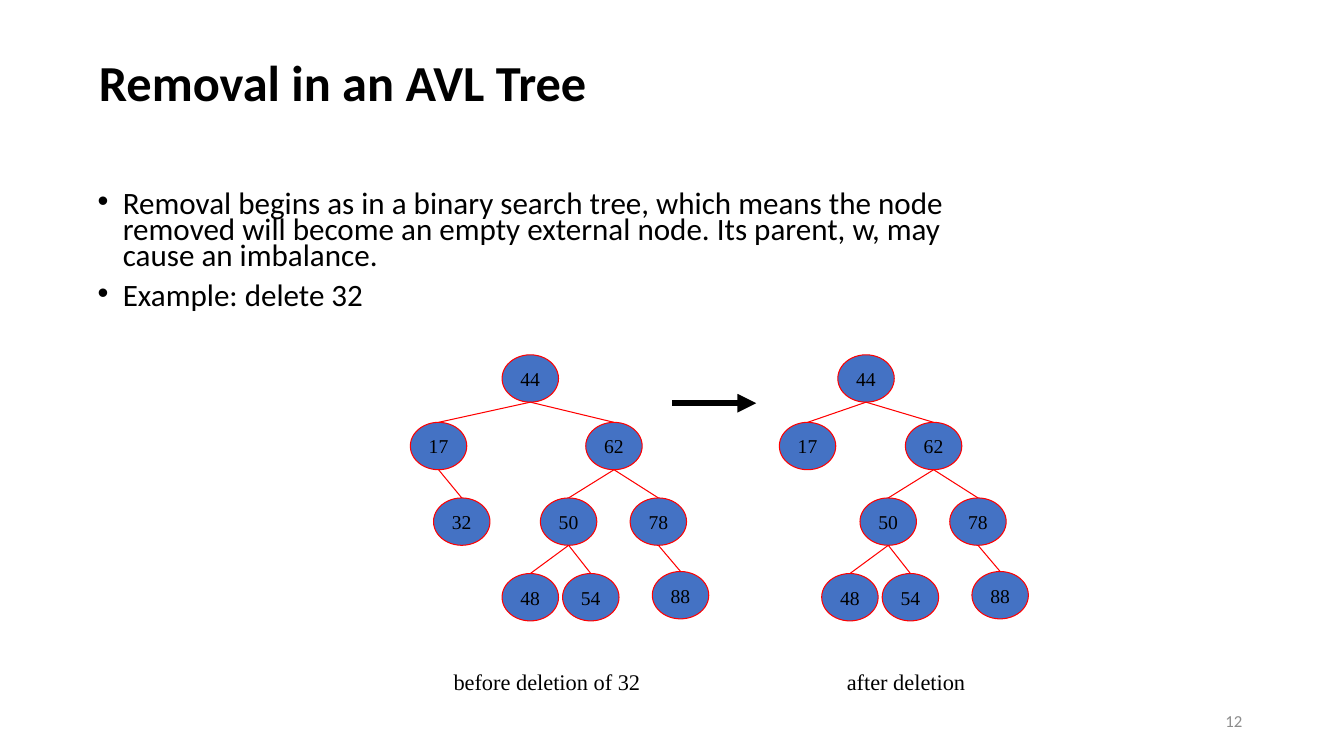
from dataclasses import dataclass, replace

from lxml.etree import SubElement
from pptx import Presentation
from pptx.dml.color import RGBColor
from pptx.enum.shapes import MSO_CONNECTOR, MSO_SHAPE
from pptx.enum.text import MSO_ANCHOR, MSO_AUTO_SIZE, PP_ALIGN
from pptx.oxml.ns import qn
from pptx.shapes.connector import Connector
from pptx.slide import Slide
from pptx.text.text import TextFrame, _Paragraph
from pptx.util import Inches, Pt

BLACK = RGBColor(0x00, 0x00, 0x00)
GRAY = RGBColor(0x8C, 0x8C, 0x8C)
NODE_BLUE = RGBColor(0x44, 0x72, 0xC4)
EDGE_RED = RGBColor(0xFF, 0x00, 0x00)
SANS = "Calibri"
SERIF = "Times New Roman"

NODE_WIDTH = 0.56
NODE_HEIGHT = 0.47
LEVEL_TOPS = (3.52, 4.19, 4.94, 5.69)
SUBTREE_SHIFT = 3.17


@dataclass(frozen=True)
class Node:
    key: int
    center: float
    top: float
    parent: int | None = None


@dataclass(frozen=True)
class Label:
    text: str
    left: float
    top: float
    width: float
    height: float
    size: float
    font: str = SERIF
    color: RGBColor = BLACK
    align: PP_ALIGN = PP_ALIGN.LEFT
    anchor: MSO_ANCHOR = MSO_ANCHOR.TOP
    wrap: bool = False


RIGHT_SUBTREE = [
    Node(62, 6.09, LEVEL_TOPS[1], 44),
    Node(50, 5.64, LEVEL_TOPS[2], 62),
    Node(78, 6.53, LEVEL_TOPS[2], 62),
    Node(48, 5.26, LEVEL_TOPS[3], 50),
    Node(54, 5.86, LEVEL_TOPS[3], 50),
    Node(88, 6.75, 5.67, 78),
]
TREE_BEFORE = [
    Node(44, 5.26, LEVEL_TOPS[0]),
    Node(17, 4.35, LEVEL_TOPS[1], 44),
    Node(32, 4.58, LEVEL_TOPS[2], 17),
    *RIGHT_SUBTREE,
]
TREE_AFTER = [
    Node(44, 8.59, LEVEL_TOPS[0]),
    Node(17, 8.01, LEVEL_TOPS[1], 44),
    *(replace(node, center=node.center + SUBTREE_SHIFT) for node in RIGHT_SUBTREE),
]
LABELS = [
    Label("before deletion of 32", 4.4, 6.58, 2.06, 0.37, 16),
    Label("after deletion", 8.3, 6.58, 1.39, 0.37, 16),
    Label("12", 9.42, 6.95, 3, 0.4, 12, SANS, GRAY, PP_ALIGN.RIGHT,
          MSO_ANCHOR.MIDDLE, True),
]
BULLETS = [
    "Removal begins as in a binary search tree, which means the node removed "
    "will become an empty external node. Its parent, w, may cause an imbalance.",
    "Example: delete 32",
]


def add_text(paragraph: _Paragraph, text: str, size: float, font: str,
             color: RGBColor = BLACK, bold: bool = False) -> None:
    run = paragraph.add_run()
    run.text = text
    run.font.size = Pt(size)
    run.font.name = font
    run.font.color.rgb = color
    run.font.bold = bold


def set_frame(frame: TextFrame, anchor: MSO_ANCHOR, wrap: bool) -> None:
    frame.auto_size = MSO_AUTO_SIZE.NONE
    frame.vertical_anchor = anchor
    frame.word_wrap = wrap


def add_line(slide: Slide, start: tuple[float, float], end: tuple[float, float],
             color: RGBColor, width: float) -> Connector:
    line = slide.shapes.add_connector(
        MSO_CONNECTOR.STRAIGHT, *map(Inches, start + end))
    line.line.color.rgb = color
    line.line.width = Pt(width)
    SubElement(line._element.spPr, qn("a:effectLst"))
    return line


def add_node(slide: Slide, node: Node) -> None:
    oval = slide.shapes.add_shape(
        MSO_SHAPE.OVAL, Inches(node.center - NODE_WIDTH / 2), Inches(node.top),
        Inches(NODE_WIDTH), Inches(NODE_HEIGHT))
    oval.shadow.inherit = False
    oval.fill.solid()
    oval.fill.fore_color.rgb = NODE_BLUE
    oval.line.color.rgb = EDGE_RED
    oval.line.width = Pt(0.75)
    set_frame(oval.text_frame, MSO_ANCHOR.MIDDLE, False)
    paragraph = oval.text_frame.paragraphs[0]
    paragraph.alignment = PP_ALIGN.CENTER
    add_text(paragraph, str(node.key), 14, SERIF)


def add_tree(slide: Slide, nodes: list[Node]) -> None:
    by_key = {node.key: node for node in nodes}
    for node in nodes:
        add_node(slide, node)
        if node.parent is not None:
            parent = by_key[node.parent]
            add_line(slide, (parent.center, parent.top + NODE_HEIGHT),
                     (node.center, node.top), EDGE_RED, 0.75)


def add_label(slide: Slide, label: Label) -> None:
    box = slide.shapes.add_textbox(
        Inches(label.left), Inches(label.top),
        Inches(label.width), Inches(label.height))
    set_frame(box.text_frame, label.anchor, label.wrap)
    paragraph = box.text_frame.paragraphs[0]
    paragraph.alignment = label.align
    add_text(paragraph, label.text, label.size, label.font, label.color)


def add_title(slide: Slide) -> None:
    title = slide.shapes.title
    title.left, title.top = Inches(0.88), Inches(0.22)
    title.width, title.height = Inches(7.58), Inches(1.25)
    set_frame(title.text_frame, MSO_ANCHOR.MIDDLE, True)
    paragraph = title.text_frame.paragraphs[0]
    paragraph.alignment = PP_ALIGN.LEFT
    paragraph.line_spacing = 0.9
    add_text(paragraph, "Removal in an AVL Tree", 36, SANS, bold=True)


def add_bullets(slide: Slide) -> None:
    box = slide.shapes.add_textbox(
        Inches(0.87), Inches(1.87), Inches(8.67), Inches(1.33))
    frame = box.text_frame
    set_frame(frame, MSO_ANCHOR.TOP, True)
    for index, text in enumerate(BULLETS):
        paragraph = frame.add_paragraph() if index else frame.paragraphs[0]
        properties = paragraph._p.get_or_add_pPr()
        properties.set("marL", str(Inches(0.25)))
        properties.set("indent", str(Inches(-0.25)))
        SubElement(properties, qn("a:buFont"), typeface="Arial")
        SubElement(properties, qn("a:buChar"), char="•")
        paragraph.line_spacing = 0.7
        paragraph.space_before = Pt(10 if index else 0)
        add_text(paragraph, text, 22.2, SANS)


def main() -> None:
    presentation = Presentation()
    presentation.slide_width = Inches(13.33)
    presentation.slide_height = Inches(7.5)
    slide = presentation.slides.add_slide(presentation.slide_layouts[5])
    add_title(slide)
    add_bullets(slide)
    for tree in (TREE_BEFORE, TREE_AFTER):
        add_tree(slide, tree)
    arrow = add_line(slide, (6.67, 4), (7.5, 4), BLACK, 4.5)
    SubElement(arrow.line._get_or_add_ln(), qn("a:tailEnd"), type="triangle")
    for label in LABELS:
        add_label(slide, label)
    presentation.save("out.pptx")


if __name__ == "__main__":
    main()
